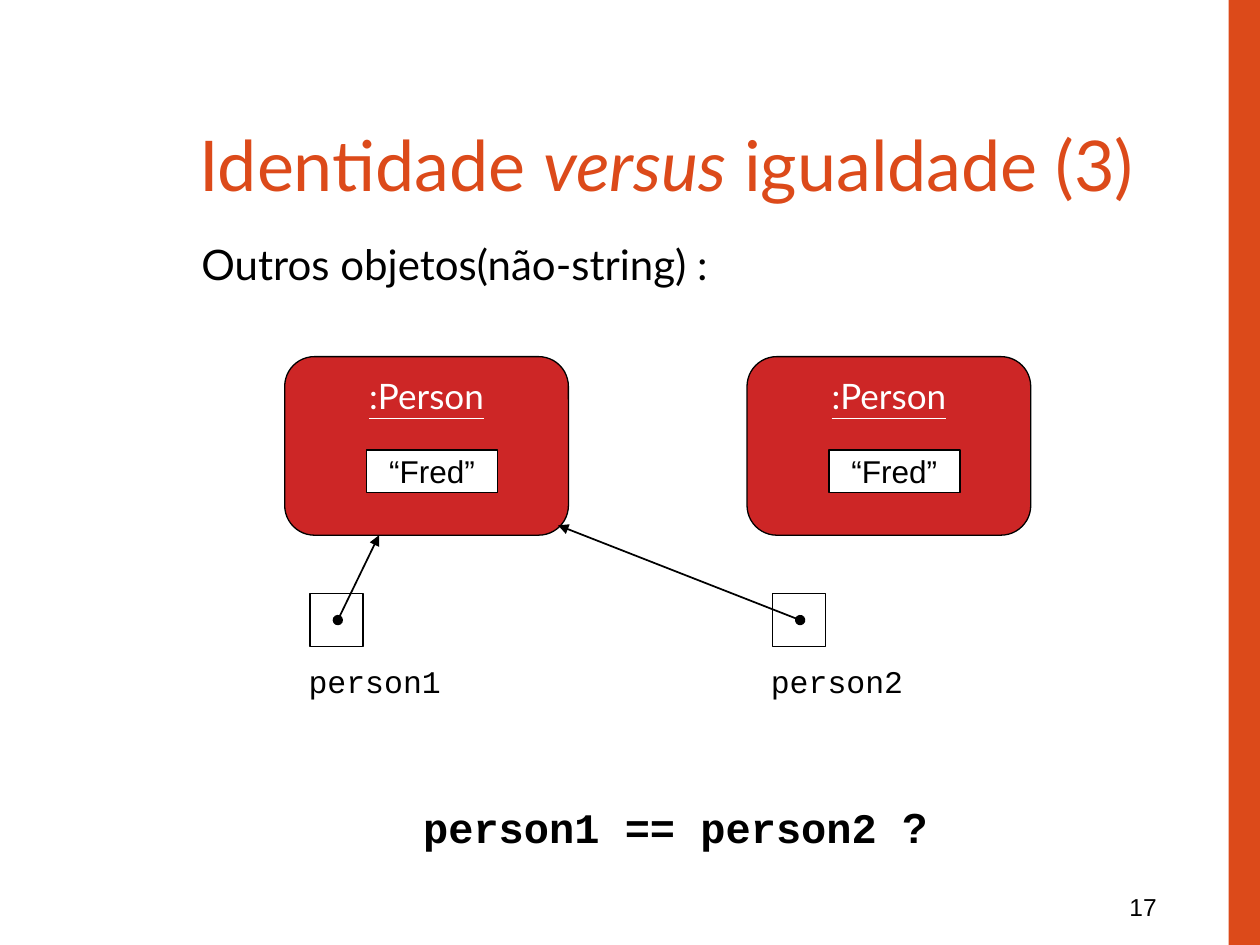
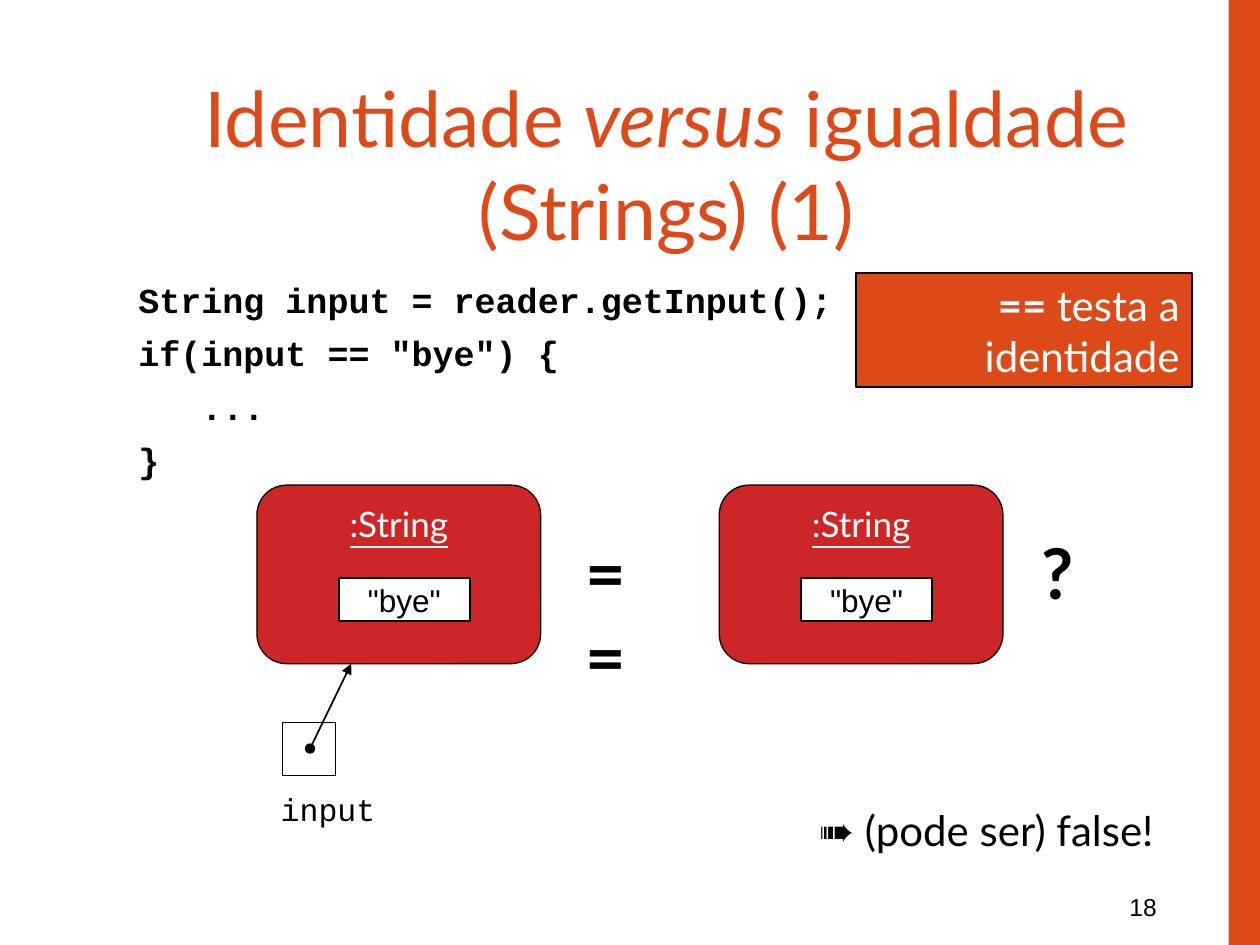
from dataclasses import dataclass

from lxml import etree
from pptx import Presentation
from pptx.dml.color import RGBColor
from pptx.enum.shapes import MSO_CONNECTOR as Link, MSO_SHAPE as Kind
from pptx.enum.text import MSO_ANCHOR as Anchor, PP_ALIGN as Align
from pptx.oxml.ns import qn
from pptx.util import Cm, Pt


@dataclass(frozen=True)
class Theme:
    accent: str = "DC4A1A"
    red: str = "CD2626"
    black: str = "000000"
    white: str = "FFFFFF"
    sans: str = "Lato"
    plain: str = "Arial"
    mono: str = "Courier New"
    small: int = 14
    name: int = 18
    code: int = 20
    body: int = 24
    big: int = 40
    huge: int = 44


T = Theme()
WIDE, HIGH = 25.4, 19.05
STEP = 9.32  # from one object to the next


def write(frame, lines, size=T.body, font=T.sans, color=T.black, align=Align.LEFT,
          anchor=Anchor.TOP, gap=0, **marks):
    """Fill a frame; a line is a string or a list of strings and (string, changes)."""
    frame.word_wrap = True
    frame.vertical_anchor = anchor
    frame.margin_left = frame.margin_right = Cm(0.25)
    frame.margin_top = frame.margin_bottom = Cm(0.13)
    for i, line in enumerate([lines] if isinstance(lines, str) else lines):
        para = frame.add_paragraph() if i else frame.paragraphs[0]
        para.alignment = align
        if i and gap:
            para.space_before = Pt(gap)
        for part in [line] if isinstance(line, str) else line:
            text, change = (part, {}) if isinstance(part, str) else part
            run = para.add_run()
            run.text = text
            run.font.size = Pt(size)
            run.font.color.rgb = RGBColor.from_string(color)
            for key, value in {"name": font, **marks, **change}.items():
                setattr(run.font, key, value)


class Deck:
    def __init__(self):
        self.show = Presentation()
        self.show.slide_width, self.show.slide_height = Cm(WIDE), Cm(HIGH)
        self.slide = None

    def page(self, number, title, size):
        self.slide = self.show.slides.add_slide(self.show.slide_layouts[6])
        self.text(22.1, 17.86, 1.47, 0.84, str(number), size=T.small,
                  font=T.plain, align=Align.RIGHT)
        self.box(24.77, 0, WIDE - 24.77, HIGH, fill=T.accent)
        self.text(2.74, 1.7, 21.39, 3.18, [title], size=size, color=T.accent,
                  align=Align.CENTER, anchor=Anchor.MIDDLE)

    def text(self, x, y, w, h, lines, **style):
        area = self.slide.shapes.add_textbox(Cm(x), Cm(y), Cm(w), Cm(h))
        write(area.text_frame, lines, **style)

    def box(self, x, y, w, h, fill=None, line=0, kind=Kind.RECTANGLE):
        shape = self.slide.shapes.add_shape(kind, Cm(x), Cm(y), Cm(w), Cm(h))
        shape.shadow.inherit = False
        if fill:
            shape.fill.solid()
            shape.fill.fore_color.rgb = RGBColor.from_string(fill)
        else:
            shape.fill.background()
        if line:
            shape.line.color.rgb = RGBColor.from_string(T.black)
            shape.line.width = Pt(line)
        else:
            shape.line.fill.background()
        return shape

    def arrow(self, start, end):
        """Draw a line with a dot at its start and an arrowhead at its end."""
        link = self.slide.shapes.add_connector(
            Link.STRAIGHT, *(Cm(v) for v in (*start, *end)))
        link.line.color.rgb = RGBColor.from_string(T.black)
        link.line.width = Pt(1)
        for tag, mark in (("a:headEnd", "oval"), ("a:tailEnd", "triangle")):
            etree.SubElement(link.line._get_or_add_ln(), qn(tag), type=mark)
        etree.SubElement(link._element.spPr, qn("a:effectLst"))

    def thing(self, x, y, label, value):
        """Draw an object with its class label and field value."""
        self.box(x, y, 5.72, 3.6, T.red, 0.75, Kind.ROUNDED_RECTANGLE)
        self.text(x, y + 0.23, 5.72, 1.09, label, size=T.code, color=T.white,
                  align=Align.CENTER, underline=True)
        field = self.box(x + 1.65, y + 1.88, 2.64, 0.86, T.white, 1)
        write(field.text_frame, value, size=T.name, font=T.plain,
              align=Align.CENTER, anchor=Anchor.MIDDLE)

    def ref(self, x, y, name, tip=None):
        """Draw a variable below the object at x, y, pointing at it or at tip."""
        self.box(x + 0.51, y + 4.78, 1.07, 1.07, line=0.75)
        self.text(x + 0.23, y + 6.02, 4, 1.02, name, size=T.name, font=T.mono)
        self.arrow((x + 1.07, y + 5.31), tip or (x + 1.9, y + 3.6))


def persons(deck):
    deck.page(17, ["Identidade ", ("versus", {"italic": True}), " igualdade (3)"], T.big)
    deck.text(3.81, 4.67, 18.87, 1.27, "Outros objetos(não-string) :")
    x, y = 5.74, 7.19
    for i, tip in enumerate((None, (11.25, 10.59))):
        deck.thing(x + i * STEP, y, ":Person", "“Fred”")
        deck.ref(x + i * STEP, y, f"person{i + 1}", tip)
    deck.text(8.28, 16.03, 11, 1.27, [["person1 == person2 ", ("?", {"name": T.plain})]],
              font=T.mono, bold=True)


def strings(deck):
    deck.page(18, ["Identidade ", ("versus", {"italic": True}),
                   " igualdade (Strings) (1)"], T.huge)
    x, y = 5.18, 9.78
    for i in range(2):
        deck.thing(x + i * STEP, y, ":String", '"bye"')
    deck.ref(x, y, "input")
    code = ["String input = reader.getInput();", 'if(input == "bye") {', "   ...", "}"]
    deck.text(2.54, 5.48, 15, 4.17, code, size=T.code, font=T.mono, bold=True, gap=6.5)
    note = deck.box(17.25, 5.51, 6.78, 2.29, T.accent, 1)
    write(note.text_frame, [[("== ", {"bold": True}), "testa a identidade"]],
          color=T.white, align=Align.RIGHT)
    for left, wide, sign in ((11.56, 2, "=="), (20.75, 1.17, "?")):
        deck.text(left, 10.54, wide, 1.96, sign, size=T.big, bold=True)
    deck.text(16.26, 16.08, 7.75, 1.27,
              [[("➠", {"name": T.plain}), " (pode ser) false!"]])


def main():
    deck = Deck()
    persons(deck)
    strings(deck)
    deck.show.save("out.pptx")


if __name__ == "__main__":
    main()
